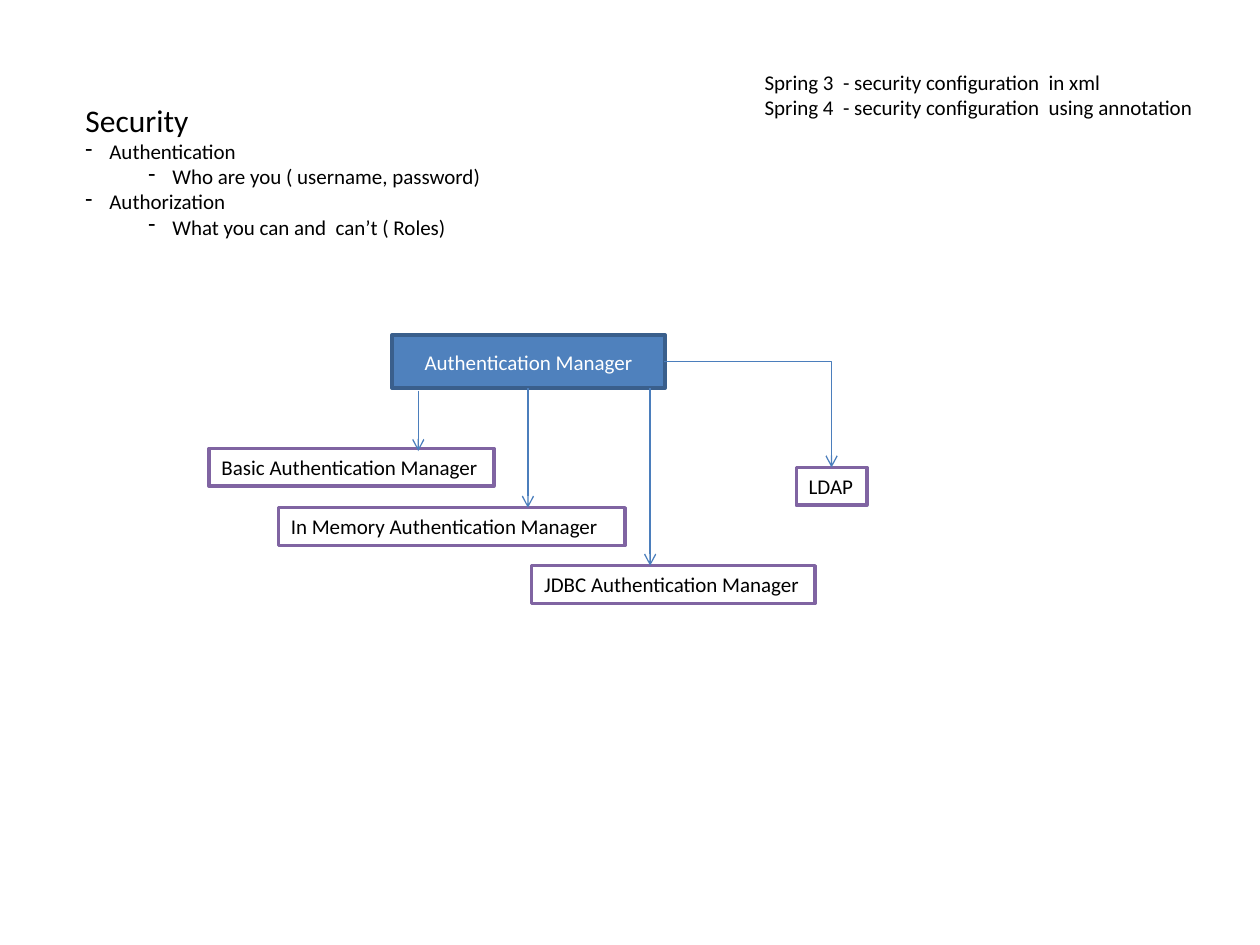
"""Build the slide on security and its authentication managers."""
from dataclasses import dataclass

from lxml.etree import SubElement
from pptx import Presentation
from pptx.dml.color import RGBColor
from pptx.enum.shapes import MSO_CONNECTOR as Connector, MSO_SHAPE as Shape
from pptx.enum.text import MSO_ANCHOR as Anchor, MSO_AUTO_SIZE as AutoSize, PP_ALIGN as Align
from pptx.oxml.ns import qn
from pptx.util import Inches, Pt

COLUMNS, ROWS = 100, 75
BLACK, WHITE, BLUE, NAVY = "000000", "FFFFFF", "4F81BD", "3A5F8C"
PURPLE, ARROW_BLUE = "8064A2", "4B7EBC"
BOX_HEIGHT = 3.0
MANAGER_BOTTOM = 30.8

deck = Presentation()
deck.slide_width, deck.slide_height = Inches(10), Inches(7.5)
page = deck.slides.add_slide(deck.slide_layouts[6])


@dataclass
class Line:
    text: str
    size: float = 12
    color: str = BLACK
    indent: float | None = None
    level: int = 0


@dataclass
class Node:
    label: str
    left: float
    top: float
    width: float


@dataclass
class Arrow:
    start: tuple[float, float]
    end: tuple[float, float]
    bent: bool = False


def across(columns: float) -> int:
    """Turn grid columns into a length."""
    return round(deck.slide_width * columns / COLUMNS)


def down(rows: float) -> int:
    """Turn grid rows into a length."""
    return round(deck.slide_height * rows / ROWS)


def rgb(color: str) -> RGBColor:
    """Turn a hex string into a colour."""
    return RGBColor.from_string(color)


def write(box, lines: list[Line], wrap: bool = False) -> None:
    """Fill a box with styled paragraphs, some with a dash as bullet."""
    frame = box.text_frame
    frame.word_wrap = wrap
    frame.auto_size = AutoSize.NONE if wrap else AutoSize.SHAPE_TO_FIT_TEXT
    frame.vertical_anchor = Anchor.MIDDLE if wrap else Anchor.TOP
    for number, line in enumerate(lines):
        para = frame.add_paragraph() if number else frame.paragraphs[0]
        para.text = line.text
        para.level = line.level
        para.alignment = Align.CENTER if wrap else Align.LEFT
        para.font.name, para.font.size = "Calibri", Pt(line.size)
        para.font.color.rgb = rgb(line.color)
        if line.indent is not None:
            settings = para._p.get_or_add_pPr()
            settings.set("marL", str(across(line.indent)))
            settings.set("indent", str(-across(1.9)))
            bullet = SubElement(settings, qn("a:buChar"))
            bullet.set("char", "-")
            settings.insert(0, bullet)


def add_text(left: float, top: float, width: float, height: float, lines: list[Line]) -> None:
    """Add a free text box."""
    write(page.shapes.add_textbox(across(left), down(top), across(width), down(height)), lines)


def add_node(node: Node, height: float, fill: str, outline: str, color: str, wrap: bool = False) -> None:
    """Add an outlined, labelled rectangle."""
    box = page.shapes.add_shape(
        Shape.RECTANGLE, across(node.left), down(node.top), across(node.width), down(height))
    box.shadow.inherit = False
    box.fill.solid()
    box.fill.fore_color.rgb = rgb(fill)
    box.line.color.rgb, box.line.width = rgb(outline), Pt(2)
    write(box, [Line(node.label, color=color)], wrap)


def add_arrow(arrow: Arrow) -> None:
    """Add a straight or bent connector with an open arrowhead."""
    kind = Connector.ELBOW if arrow.bent else Connector.STRAIGHT
    (left, top), (right, bottom) = arrow.start, arrow.end
    link = page.shapes.add_connector(kind, across(left), down(top), across(right), down(bottom))
    link.line.color.rgb, link.line.width = rgb(ARROW_BLUE), Pt(0.75)
    SubElement(link.line._get_or_add_ln(), qn("a:tailEnd")).set("type", "arrow")
    properties = link._element.spPr
    SubElement(properties, qn("a:effectLst"))
    if arrow.bent:
        properties.find(qn("a:prstGeom")).set("prst", "bentConnector2")


add_text(5.8, 7.5, 33.7, 12.1, [
    Line("Security", size=18),
    Line("Authentication", indent=1.9),
    Line("Who are you ( username, password)", indent=6.9, level=1),
    Line("Authorization", indent=1.9),
    Line("What you can and  can’t ( Roles)", indent=6.9, level=1),
])
add_text(59.7, 5, 36.3, 5, [
    Line("Spring 3  - security configuration  in xml"),
    Line("Spring 4  - security configuration  using annotation"),
])

add_node(Node("Authentication Manager", 31.1, 26.6, 21.7), 4.2, BLUE, NAVY, WHITE, wrap=True)
for provider in (
    Node("LDAP", 63.2, 37.1, 5.6),
    Node("Basic Authentication Manager", 16.6, 35.6, 22.6),
    Node("In Memory Authentication Manager", 22.1, 40.3, 27.5),
    Node("JDBC Authentication Manager", 42.2, 44.9, 22.5),
):
    add_node(provider, BOX_HEIGHT, WHITE, PURPLE, BLACK)

for branch in (
    Arrow((33.2, 31), (33.2, 35.8)),
    Arrow((41.9, MANAGER_BOTTOM), (41.9, 40.3)),
    Arrow((51.6, MANAGER_BOTTOM), (51.6, 44.9)),
    Arrow((52.7, 28.7), (66, 37.1), bent=True),
):
    add_arrow(branch)

deck.save("out.pptx")
